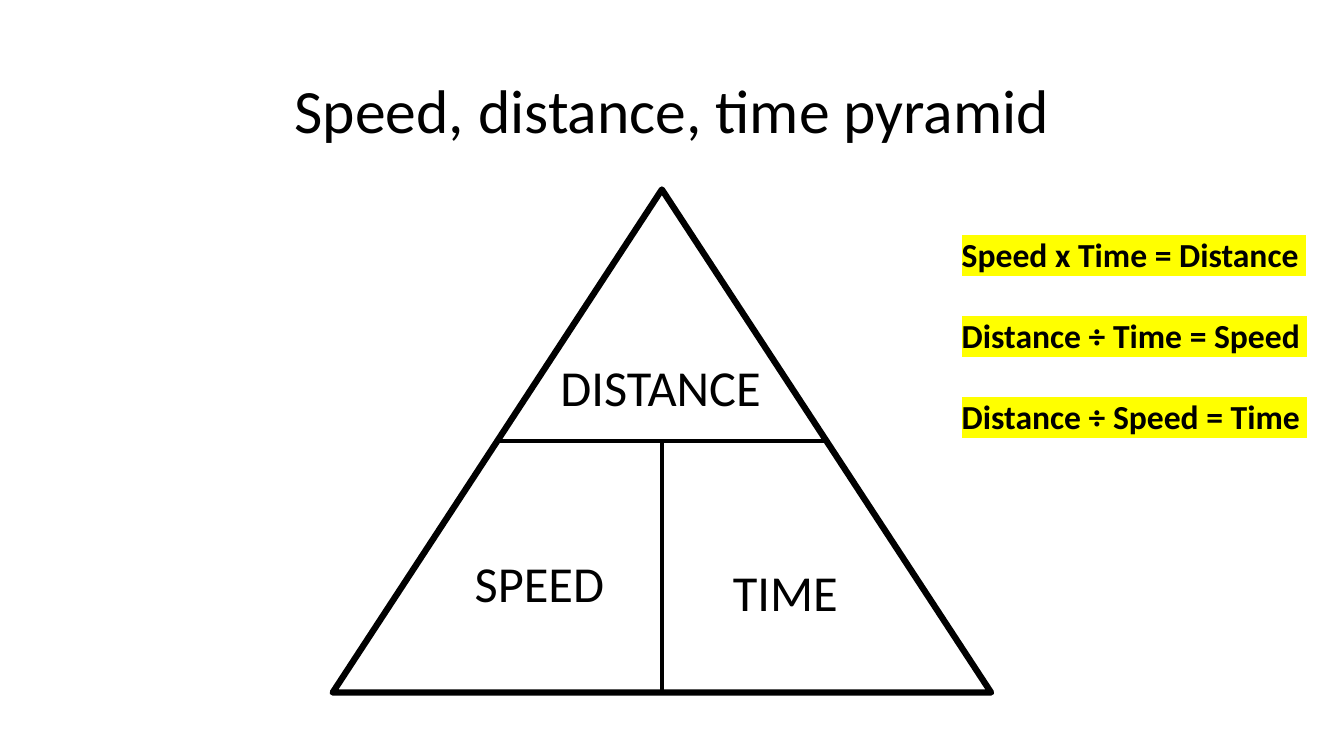
from lxml import etree
from pptx import Presentation
from pptx.dml.color import RGBColor
from pptx.enum.shapes import MSO_CONNECTOR, MSO_SHAPE
from pptx.enum.text import MSO_ANCHOR, PP_ALIGN
from pptx.oxml.ns import qn
from pptx.util import Inches, Pt

TRIANGLE = MSO_SHAPE.ISOSCELES_TRIANGLE
STRAIGHT = MSO_CONNECTOR.STRAIGHT
MIDDLE = MSO_ANCHOR.MIDDLE
LEFT, CENTER = PP_ALIGN.LEFT, PP_ALIGN.CENTER
BLACK, YELLOW = "000000", "FFFF00"


def rgb(color):
    return RGBColor.from_string(color)


def write(p, text, size=36, bold=False, align=LEFT, highlight=None):
    p.alignment = align
    r = p.add_run()
    r.text = text
    r.font.size = Pt(size)
    r.font.bold = bold
    r.font.color.rgb = rgb(BLACK)
    if highlight:
        mark = etree.SubElement(r.font._element, qn("a:highlight"))
        etree.SubElement(mark, qn("a:srgbClr"), val=highlight)
    r.font.name = "Calibri"


prs = Presentation()
prs.slide_width, prs.slide_height = Inches(13.33), Inches(7.5)
s = prs.slides.add_slide(prs.slide_layouts[5])

# Title
title = s.shapes.title
title.left, title.top = Inches(0.92), Inches(0.4)
title.width, title.height = Inches(11.5), Inches(1.45)
tf = title.text_frame
tf.vertical_anchor = MIDDLE
tf.paragraphs[0].line_spacing = 0.9
write(tf.paragraphs[0], "Speed, distance, time pyramid", size=44, align=CENTER)

# Pyramid, split halfway up and then down the middle
left, top, width, height = 3.3, 1.88, 6.53, 4.99
center, middle, bottom = left + width / 2, top + height / 2, top + height
pyramid = s.shapes.add_shape(TRIANGLE, Inches(left), Inches(top), Inches(width), Inches(height))
pyramid.shadow.inherit = False
pyramid.fill.background()
pyramid.line.color.rgb = rgb(BLACK)
pyramid.line.width = Pt(4.5)

dividers = [
    (center - width / 4, middle, center + width / 4, middle),
    (center, bottom, center, middle),
]
for ends in dividers:
    line = s.shapes.add_connector(STRAIGHT, *[Inches(v) for v in ends])
    line.line.color.rgb = rgb(BLACK)
    line.line.width = Pt(3)
    etree.SubElement(line._element.spPr, qn("a:effectLst"))

labels = [
    ("DISTANCE", 5.46, 3.48, 2.21),
    ("SPEED", 4.61, 5.43, 1.56),
    ("TIME", 7.17, 5.52, 1.37),
]
for text, x, y, w in labels:
    label = s.shapes.add_textbox(Inches(x), Inches(y), Inches(w), Inches(0.71))
    label.text_frame.word_wrap = False
    write(label.text_frame.paragraphs[0], text)

# Formulas
formulas = ["Speed x Time = Distance ", "Distance ÷ Time = Speed ", "Distance ÷ Speed = Time "]
tf = s.shapes.add_textbox(Inches(9.44), Inches(2.27), Inches(3.79), Inches(2.12)).text_frame
tf.word_wrap = True
for i, formula in enumerate(formulas):
    p = tf.add_paragraph() if i else tf.paragraphs[0]
    if i:
        p.space_before = Pt(29)
    write(p, formula, size=24, bold=True, highlight=YELLOW)

prs.save("out.pptx")
